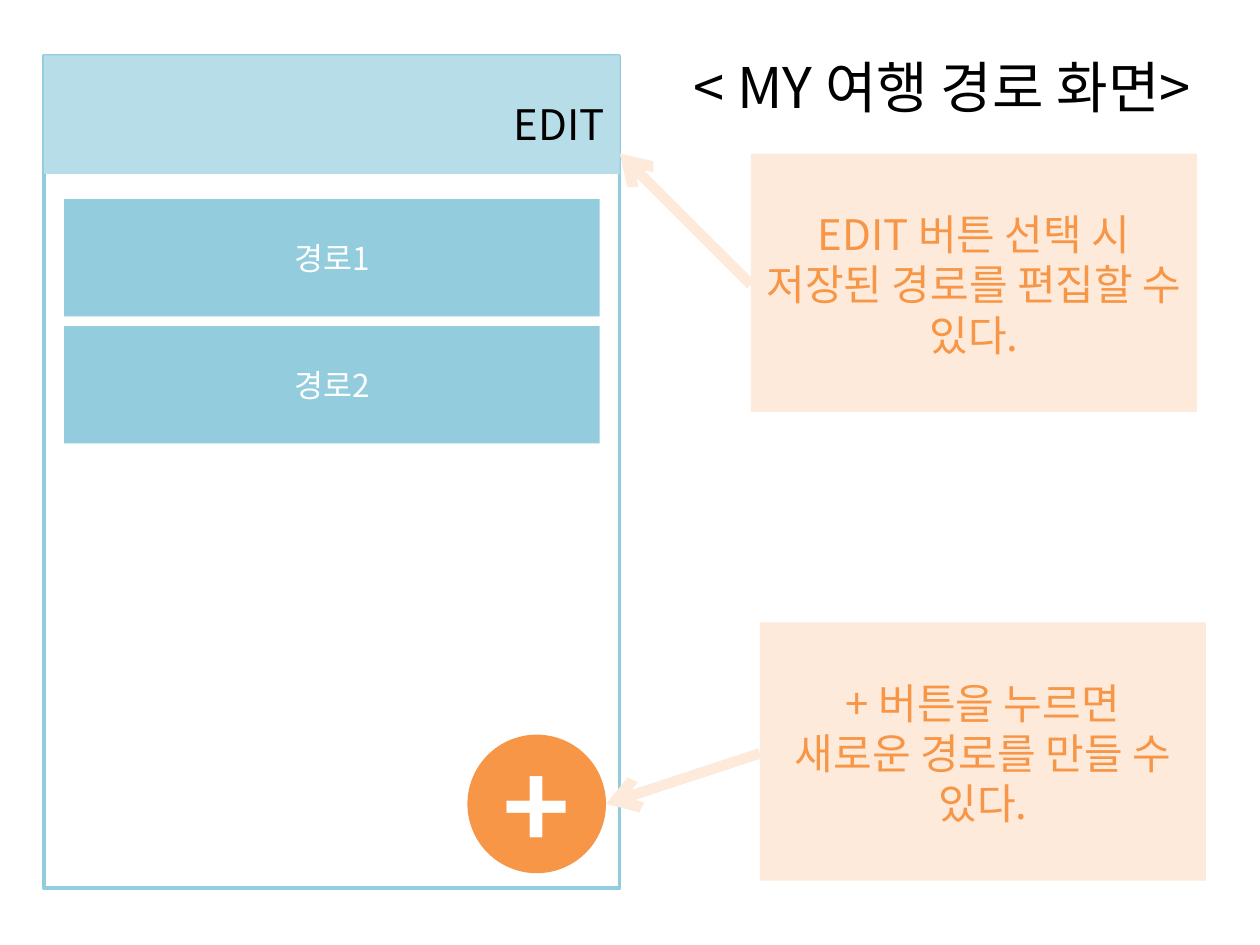
from dataclasses import dataclass

from lxml import etree
from pptx import Presentation
from pptx.dml.color import RGBColor
from pptx.enum import shapes, text
from pptx.oxml import ns
from pptx.util import Pt

FONT = "Noto Sans CJK KR"
BLACK, WHITE = "000000", "FFFFFF"
PALE_BLUE, BLUE = "B7DEE8", "93CDDD"
ORANGE, PEACH = "F79646", "FDEADA"

RECTANGLE = shapes.MSO_SHAPE.RECTANGLE
OVAL = shapes.MSO_SHAPE.OVAL
TOP, MIDDLE = text.MSO_ANCHOR.TOP, text.MSO_ANCHOR.MIDDLE
LEFT, CENTER = text.PP_ALIGN.LEFT, text.PP_ALIGN.CENTER


@dataclass
class Box:
    left: float
    top: float
    width: float
    height: float

    def lengths(self) -> list:
        return [Pt(v) for v in (self.left, self.top, self.width, self.height)]


@dataclass
class Callout:
    left: float
    top: float
    lines: list[str]
    target: tuple[float, float]


def color(value: str) -> RGBColor:
    return RGBColor.from_string(value)


def write(frame, lines: list[str], size: float, ink: str, align=CENTER,
          anchor=TOP, bold: bool = False) -> None:
    frame_format = {"word_wrap": True, "vertical_anchor": anchor,
                    "auto_size": text.MSO_AUTO_SIZE.NONE,
                    "margin_left": Pt(7.2), "margin_right": Pt(7.2),
                    "margin_top": Pt(3.6), "margin_bottom": Pt(3.6)}
    for key, value in frame_format.items():
        setattr(frame, key, value)
    for index, line in enumerate(lines):
        paragraph = frame.paragraphs[0] if index == 0 else frame.add_paragraph()
        paragraph.alignment = align
        run = paragraph.add_run()
        run.text = line
        for key, value in {"name": FONT, "size": Pt(size), "bold": bold}.items():
            setattr(run.font, key, value)
        run.font.color.rgb = color(ink)
        east_asian = etree.SubElement(run.font._element, ns.qn("a:ea"))
        east_asian.set("typeface", FONT)


def draw_panel(slide, box: Box, fill: str | None = None,
               outline: str | None = None, kind=RECTANGLE):
    panel = slide.shapes.add_shape(kind, *box.lengths())
    panel.shadow.inherit = False
    if fill:
        panel.fill.solid()
        panel.fill.fore_color.rgb = color(fill)
    else:
        panel.fill.background()
    if outline:
        panel.line.color.rgb = color(outline)
        panel.line.width = Pt(2)
    else:
        panel.line.fill.background()
    return panel


def draw_label(slide, box: Box, lines: list[str], size: float, ink: str,
               align=CENTER) -> None:
    label = slide.shapes.add_textbox(*box.lengths())
    write(label.text_frame, lines, size, ink, align)


def draw_arrow(slide, tip: tuple[float, float], tail: tuple[float, float]) -> None:
    arrow = slide.shapes.add_connector(
        shapes.MSO_CONNECTOR.STRAIGHT, *(Pt(v) for v in tip + tail))
    arrow.line.color.rgb = color(PEACH)
    arrow.line.width = Pt(6)
    head = etree.SubElement(arrow.line._get_or_add_ln(), ns.qn("a:headEnd"))
    head.set("type", "arrow")
    etree.SubElement(arrow._element.spPr, ns.qn("a:effectLst"))


def draw_callout(slide, callout: Callout) -> None:
    card = Box(callout.left, callout.top, 254.9, 147.6)
    draw_panel(slide, card, PEACH)
    draw_label(slide, Box(card.left, card.top + 27.7, card.width, 94.3),
               callout.lines, 24, ORANGE)
    draw_arrow(slide, callout.target, (card.left, card.top + card.height / 2 + 1))


def main() -> None:
    deck = Presentation()
    deck.slide_width, deck.slide_height = Pt(720), Pt(540)
    slide = deck.slides.add_slide(deck.slide_layouts[5])

    title = slide.shapes.title
    title_box = Box(360, 26.6, 357.1, 46.1)
    for key, value in zip(("left", "top", "width", "height"), title_box.lengths()):
        setattr(title, key, value)
    write(title.text_frame, ["< MY 여행 경로 화면>"], 32, BLACK)

    screen = Box(25.2, 31.7, 329, 475.9)
    header = Box(screen.left, screen.top, screen.width, 67.7)
    draw_panel(slide, screen, outline=BLUE)
    draw_panel(slide, header, PALE_BLUE)

    for index, route in enumerate(["경로1", "경로2"]):
        row = draw_panel(slide, Box(36.7, 113.8 + index * 72.6, 306, 67), BLUE)
        write(row.text_frame, [route], 18, WHITE, anchor=MIDDLE)

    add_button = Box(267.1, 419.8, 79.2, 79.2)
    button = draw_panel(slide, add_button, ORANGE, kind=OVAL)
    write(button.text_frame, ["+"], 66, WHITE, anchor=MIDDLE, bold=True)

    draw_label(slide, Box(286.6, 52.6, 79.2, 36), ["EDIT"], 24, BLACK, LEFT)

    callouts = [
        Callout(429.1, 87.8, ["EDIT 버튼 선택 시", "저장된 경로를 편집할 수 있다."],
                (screen.left + screen.width, 87.8)),
        Callout(434.2, 355.7, ["+ 버튼을 누르면", "새로운 경로를 만들 수 있다."],
                (add_button.left + add_button.width,
                 add_button.top + add_button.height / 2)),
    ]
    for callout in callouts:
        draw_callout(slide, callout)

    deck.save("out.pptx")


if __name__ == "__main__":
    main()
